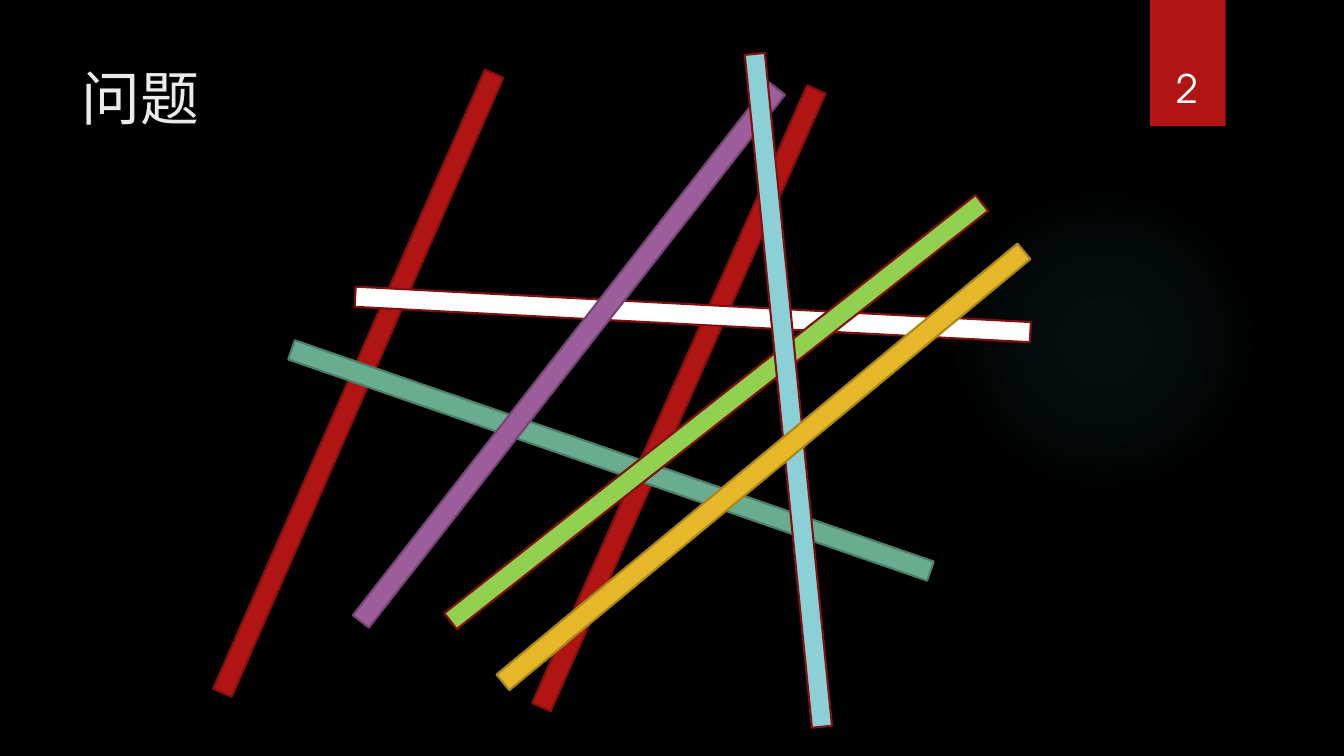
from dataclasses import dataclass

from lxml import etree
from pptx import Presentation
from pptx.dml.color import RGBColor as RGB
from pptx.enum.shapes import MSO_SHAPE as Shape
from pptx.enum.text import MSO_ANCHOR as Anchor, PP_ALIGN as Align
from pptx.oxml.ns import qn
from pptx.util import Cm, Pt


@dataclass
class Theme:
    font: str = "TeX Gyre Adventor"
    back: str = "000000"
    head: str = "EBEBEB"
    white: str = "FFFFFF"
    red: str = "B01513"
    edge: str = "82100E"
    glow: str = "50B9C1"
    big: int = 42
    mid: int = 28


theme = Theme()


def add_shape(kind, left, top, wide, high, fill):
    shape = slide.shapes.add_shape(kind, Cm(left), Cm(top), Cm(wide), Cm(high))
    shape.shadow.inherit = False
    shape.fill.solid()
    shape.fill.fore_color.rgb = RGB.from_string(fill)
    shape.line.fill.background()
    return shape


def set_text(frame, text, size, color, anchor):
    frame.text = text
    frame.word_wrap = True
    frame.vertical_anchor = anchor
    para = frame.paragraphs[0]
    para.font.name = theme.font
    para.font.size = Pt(size)
    para.font.color.rgb = RGB.from_string(color)
    return para


deck = Presentation()
deck.slide_width, deck.slide_height = Cm(33.87), Cm(19.05)
slide = deck.slides.add_slide(deck.slide_layouts[5])
slide.background.fill.solid()
slide.background.fill.fore_color.rgb = RGB.from_string(theme.back)

# Title
title = slide.shapes.title
title.left, title.top, title.width, title.height = Cm(1.8), Cm(1.27), Cm(26.14), Cm(2.34)
para = set_text(title.text_frame, "问题", theme.big, theme.head, Anchor.MIDDLE)
para.alignment = Align.LEFT

# Faint round glow: a radial gradient that fades to clear
glow = add_shape(Shape.OVAL, 23.9, 4.65, 7.82, 7.82, theme.glow)
solid = glow.fill._xPr.find(qn("a:solidFill"))
grad = etree.Element(qn("a:gradFill"), rotWithShape="1")
stops = etree.SubElement(grad, qn("a:gsLst"))
for place, alpha in ((0, 7), (36, 6), (69, 0)):
    stop = etree.SubElement(stops, qn("a:gs"), pos=str(place * 1000))
    color = etree.SubElement(stop, qn("a:srgbClr"), val=theme.glow)
    etree.SubElement(color, qn("a:alpha"), val=str(alpha * 1000))
fade = etree.SubElement(grad, qn("a:path"), {"path": "circle"})
etree.SubElement(fade, qn("a:fillToRect"), l="50000", t="50000", r="50000", b="50000")
solid.getparent().replace(solid, grad)

# Page tag
add_shape(Shape.RECTANGLE, 28.98, 0, 1.91, 3.18, theme.red)
page = slide.shapes.add_textbox(Cm(28.75), Cm(0.81), Cm(2.34), Cm(2.13))
para = set_text(page.text_frame, "2", theme.mid, theme.white, Anchor.BOTTOM)
para.alignment = Align.CENTER

# Sticks, from bottom to top of the pile: left, top, turn, fill, edge
sticks = (
    (0.51, 9.4, 293.7, theme.red, theme.edge),
    (8.59, 9.78, 294, theme.red, theme.edge),
    (6.88, 11.35, 19.1, "6AAC90", "4E7F6B"),
    (8.94, 7.67, 3, theme.white, theme.edge),
    (5.82, 8.69, 308, "9E5E9B", "754673"),
    (9.53, 10.13, 321.8, "92D050", theme.edge),
    (11.35, 9.58, 264.3, "8AD0D6", theme.edge),
    (10.72, 11.51, 320.4, "E6B729", "AA871E"),
)
for left, top, turn, fill, edge in sticks:
    stick = add_shape(Shape.RECTANGLE, left, top, 17.04, 0.51, fill)
    stick.rotation = turn
    stick.line.color.rgb = RGB.from_string(edge)
    stick.line.width = Pt(1.5)

deck.save("out.pptx")
